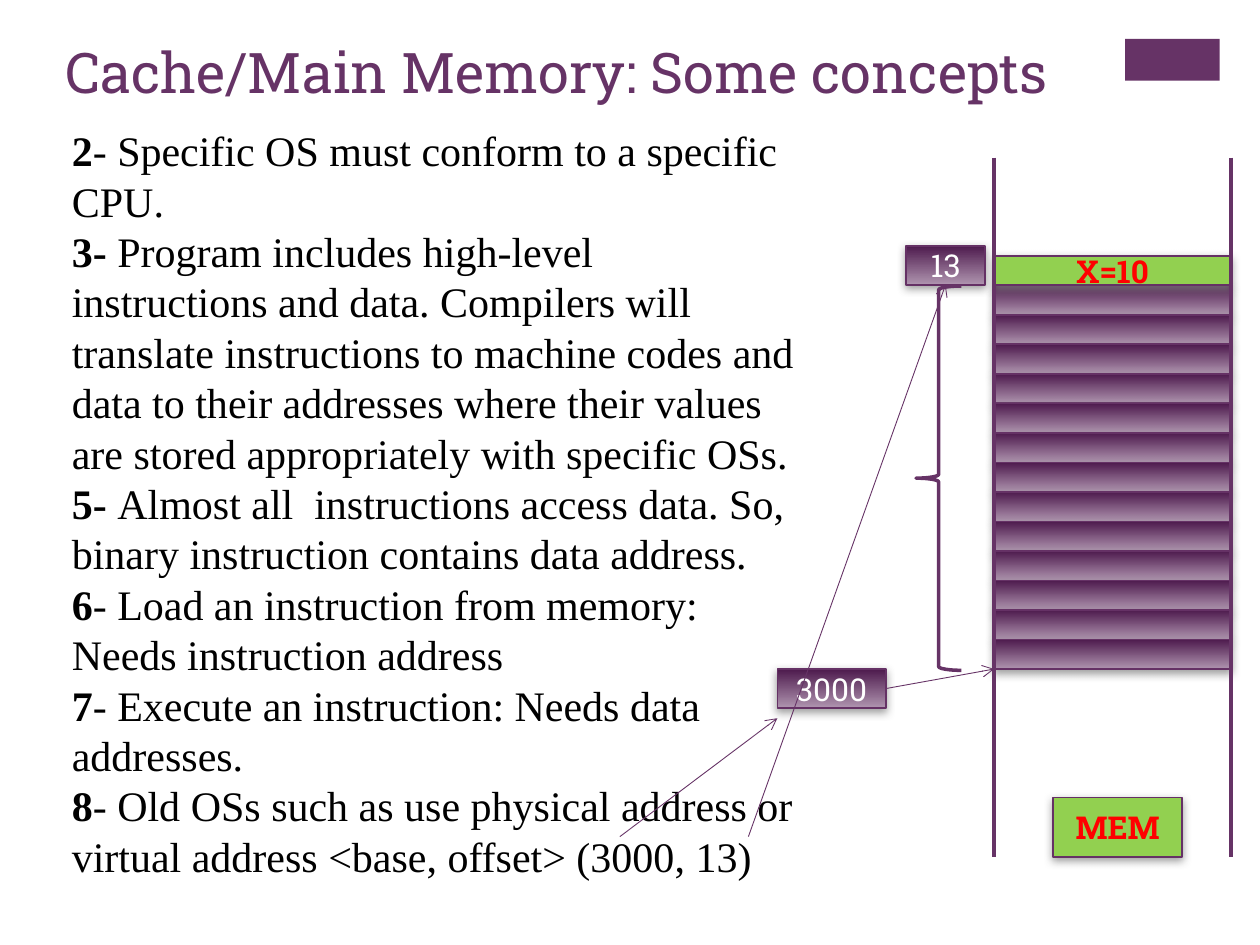
from dataclasses import dataclass
from typing import Any, Optional

from lxml import etree
from pptx import Presentation
from pptx import util as u
from pptx.dml import color
from pptx.enum import shapes, text
from pptx.oxml import ns

PLUM = color.RGBColor(0x66, 0x33, 0x66)
EDGE = color.RGBColor(0x65, 0x31, 0x65)
DARK = color.RGBColor(0x4D, 0x1A, 0x4D)
PALE = color.RGBColor(0xAF, 0x94, 0xAF)
GREEN = color.RGBColor(0x92, 0xD0, 0x50)
RED = color.RGBColor(0xFF, 0x00, 0x00)
WHITE = color.RGBColor(0xFF, 0xFF, 0xFF)
BLACK = color.RGBColor(0x00, 0x00, 0x00)

SLAB = "Roboto Slab"
SERIF = "Times New Roman"

LEFT, RIGHT = 7.89, 9.77
TOP, BASE = 2.03, 5.31
COUNT = 14
STEP = (BASE - TOP) / COUNT

FRAME = {"word_wrap": True, "auto_size": text.MSO_AUTO_SIZE.NONE,
         "vertical_anchor": text.MSO_ANCHOR.TOP}
PARA = {"alignment": text.PP_ALIGN.LEFT, "space_before": u.Pt(0),
        "space_after": u.Pt(0)}
HEAD = {"name": SLAB, "size": u.Pt(32), "bold": False}
BODY = {"name": SERIF, "size": u.Pt(24)}
LABEL = {"name": SLAB, "size": u.Pt(18)}

POINTS = [
    ("2", "- Specific OS must conform to a specific CPU."),
    ("3- ", "Program includes high-level instructions and data. Compilers "
     "will translate instructions to machine codes and data to their "
     "addresses where their values are stored appropriately with specific "
     "OSs."),
    ("5- ", "Almost all  instructions access data. So, binary instruction "
     "contains data address."),
    ("6", "- Load an instruction from memory: Needs instruction address"),
    ("7", "- Execute an instruction: Needs data addresses."),
    ("8", "- Old OSs such as use physical address or virtual address "
     "<base, offset> (3000, 13)"),
]


@dataclass
class Box:
    x: float
    y: float
    w: float
    h: float
    label: str = ""
    green: bool = False


@dataclass
class Link:
    x1: float
    y1: float
    x2: float
    y2: float
    width: float = 0.5
    arrow: bool = True
    start: Optional[Any] = None
    end: Optional[Any] = None


def apply(item: Any, form: dict) -> None:
    for key, value in form.items():
        setattr(item, key, value)


def place(item: Any, x: float, y: float, w: float, h: float) -> None:
    apply(item, {"left": u.Inches(x), "top": u.Inches(y),
                 "width": u.Inches(w), "height": u.Inches(h)})


def add_run(para: Any, words: str, form: dict, tint: color.RGBColor) -> None:
    run = para.add_run()
    run.text = words
    apply(run.font, form)
    run.font.color.rgb = tint


def add_form(slide: Any, kind: Any, box: Box) -> Any:
    form = slide.shapes.add_shape(kind, *map(u.Inches, (box.x, box.y, box.w, box.h)))
    form.shadow.inherit = False
    return form


def cast_shade(form: Any) -> None:
    effect = form._element.spPr.find(ns.qn("a:effectLst"))
    shade = etree.SubElement(effect, ns.qn("a:outerShdw"), blurRad="63500",
                             dist="25400", dir="5400000", rotWithShape="0")
    tint = etree.SubElement(shade, ns.qn("a:srgbClr"), val="808080")
    etree.SubElement(tint, ns.qn("a:alpha"), val="75000")


def draw_box(slide: Any, box: Box) -> Any:
    form = add_form(slide, shapes.MSO_SHAPE.RECTANGLE, box)
    if box.green:
        form.fill.solid()
        form.fill.fore_color.rgb = GREEN
    else:
        form.fill.gradient()
        form.fill.gradient_angle = 270
        for stop, tint, spot in zip(form.fill.gradient_stops, (DARK, PALE), (0, 1)):
            stop.color.rgb = tint
            stop.position = spot
    form.line.color.rgb = EDGE
    form.line.width = u.Pt(1)
    cast_shade(form)
    if box.label:
        form.text_frame.vertical_anchor = text.MSO_ANCHOR.MIDDLE
        para = form.text_frame.paragraphs[0]
        para.alignment = text.PP_ALIGN.CENTER
        add_run(para, box.label, LABEL | {"bold": box.green},
                RED if box.green else WHITE)
    return form


def draw_link(slide: Any, link: Link) -> None:
    ends = map(u.Inches, (link.x1, link.y1, link.x2, link.y2))
    line = slide.shapes.add_connector(shapes.MSO_CONNECTOR.STRAIGHT, *ends)
    if link.start is not None:
        line.begin_connect(link.start, 3)
    if link.end is not None:
        line.end_connect(link.end, 2)
    line.line.color.rgb = PLUM
    line.line.width = u.Pt(link.width)
    if link.arrow:
        etree.SubElement(line.line._get_or_add_ln(), ns.qn("a:tailEnd"), type="arrow")
    etree.SubElement(line._element.spPr, ns.qn("a:effectLst"))


def write_text(slide: Any) -> None:
    title, body = slide.shapes.title, slide.placeholders[1]
    place(title, 0.42, 0.25, 8.26, 1.22)
    place(body, 0.47, 0.94, 5.94, 6.16)
    for item in (title, body):
        apply(item.text_frame, FRAME)
    para = title.text_frame.paragraphs[0]
    apply(para, PARA)
    add_run(para, "Cache/Main Memory: Some concepts", HEAD, PLUM)
    for i, (mark, words) in enumerate(POINTS):
        frame = body.text_frame
        para = frame.add_paragraph() if i else frame.paragraphs[0]
        apply(para, PARA | {"line_spacing": u.Pt(28.8)})
        props = para._p.get_or_add_pPr()
        props.set("marL", "0")
        props.set("indent", "0")
        etree.SubElement(props, ns.qn("a:buNone"))
        add_run(para, mark, BODY | {"bold": True}, BLACK)
        add_run(para, words, BODY | {"bold": False}, BLACK)


def main() -> None:
    deck = Presentation()
    apply(deck, {"slide_width": u.Inches(10), "slide_height": u.Inches(7.5)})
    slide = deck.slides.add_slide(deck.slide_layouts[1])
    write_text(slide)

    badge = add_form(slide, shapes.MSO_SHAPE.RECTANGLE, Box(8.93, 0.31, 0.75, 0.33))
    badge.fill.solid()
    badge.fill.fore_color.rgb = PLUM
    badge.line.fill.background()

    wide = RIGHT - LEFT
    for i in range(1, COUNT):
        draw_box(slide, Box(LEFT, TOP + i * STEP, wide, STEP))
    draw_box(slide, Box(LEFT, TOP, wide, STEP, "X=10", True))
    for x in (LEFT, RIGHT):
        draw_link(slide, Link(x, 1.25, x, 6.8, 2, False))

    base = draw_box(slide, Box(6.17, 5.31, 0.86, 0.31, "3000"))
    shift = draw_box(slide, Box(7.19, 1.95, 0.63, 0.31, "13"))
    draw_box(slide, Box(8.36, 6.33, 1.02, 0.47, "MEM", True))

    brace = add_form(slide, shapes.MSO_SHAPE.LEFT_BRACE, Box(7.27, 2.27, 0.36, 3.05))
    brace.fill.background()
    brace.line.color.rgb = PLUM
    brace.line.width = u.Pt(2)

    for link in (Link(7.03, 5.47, LEFT, BASE, start=base),
                 Link(4.92, 6.64, 6.17, 5.7),
                 Link(5.94, 6.64, 7.5, 2.27, end=shift)):
        draw_link(slide, link)
    deck.save("out.pptx")


if __name__ == "__main__":
    main()
